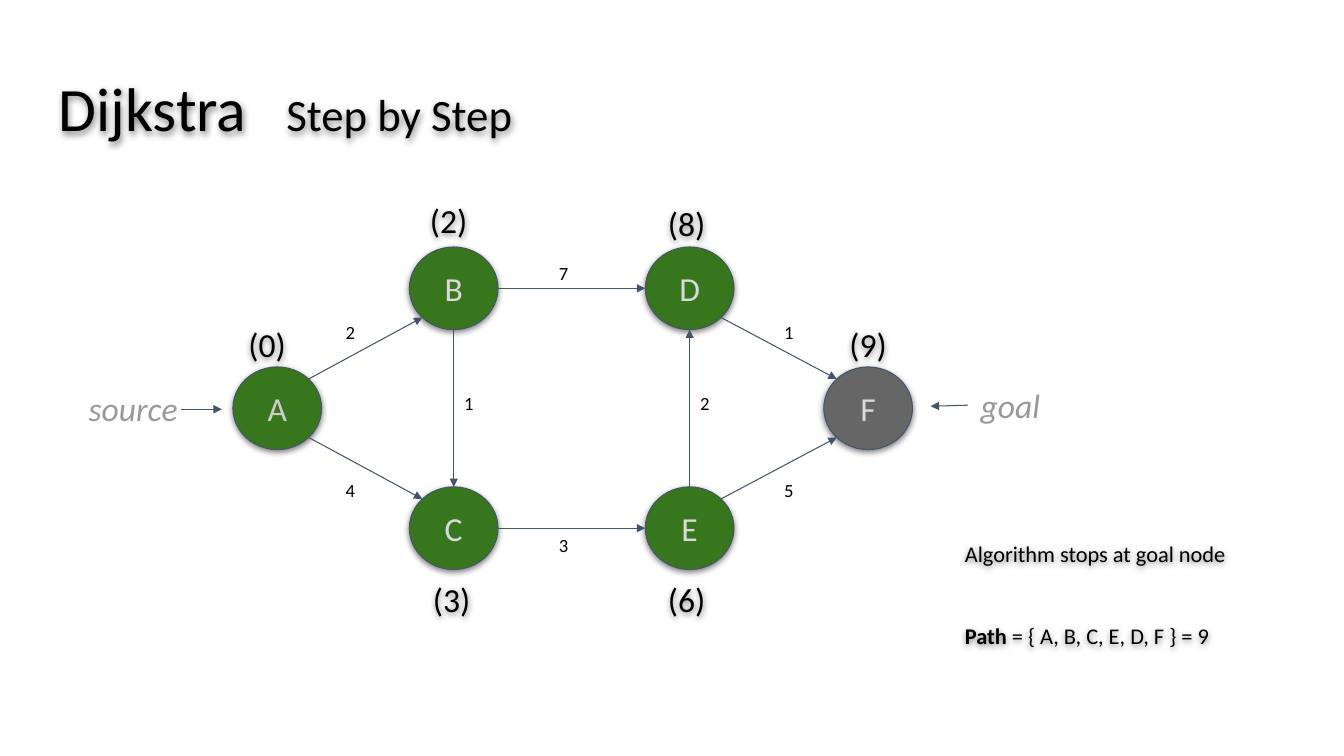
from dataclasses import dataclass

from lxml import etree
from pptx import Presentation
from pptx.dml.color import RGBColor
from pptx.enum.shapes import MSO_CONNECTOR, MSO_SHAPE
from pptx.enum.text import MSO_ANCHOR, PP_ALIGN
from pptx.oxml.ns import qn
from pptx.util import Inches, Pt

STRAIGHT = MSO_CONNECTOR.STRAIGHT
NODE_SHAPE = MSO_SHAPE.FLOWCHART_CONNECTOR
TOP, MIDDLE = MSO_ANCHOR.TOP, MSO_ANCHOR.MIDDLE
LEFT, CENTER = PP_ALIGN.LEFT, PP_ALIGN.CENTER


@dataclass(frozen=True)
class Theme:
    font: str = "Calibri"
    ink: str = "000000"
    muted: str = "999999"
    line: str = "44546A"
    visited: str = "38761D"
    goal: str = "666666"
    letter: str = "D9D9D9"
    start_letter: str = "CCCCCC"
    title: float = 44
    subtitle: float = 32
    label: float = 24
    note: float = 16
    weight: float = 13.3
    stroke: float = 0.75


T = Theme()
SLIDE_W, SLIDE_H = 13.33, 7.5
COLS = (2.75, 4.5, 6.84, 8.61)
ROWS = (2.86, 4.05, 5.24)
NODE_W, NODE_H = 0.88, 0.82
DIAGONAL = 0.5 ** 0.5

NODES = {
    "A": (0, 1, T.visited, T.start_letter, "(0)", -0.1, -0.64),
    "B": (1, 0, T.visited, T.letter, "(2)", -0.05, -0.68),
    "C": (1, 2, T.visited, T.letter, "(3)", -0.02, 0.7),
    "D": (2, 0, T.visited, T.letter, "(8)", -0.03, -0.65),
    "E": (2, 2, T.visited, T.letter, "(6)", -0.03, 0.7),
    "F": (3, 1, T.goal, T.letter, "(9)", 0, -0.64),
}
EDGES = (
    ("A", "B", "2", -0.15, -0.16),
    ("A", "C", "4", -0.15, 0.22),
    ("B", "D", "7", -0.08, -0.15),
    ("B", "C", "1", 0.15, -0.05),
    ("C", "E", "3", -0.08, 0.17),
    ("D", "F", "1", 0.1, -0.16),
    ("E", "F", "5", 0.1, 0.22),
    ("E", "D", "2", 0.15, -0.05),
)


def rgb(color):
    return RGBColor.from_string(color)


def center(name):
    return COLS[NODES[name][0]], ROWS[NODES[name][1]]


def add_shadow(sp):
    sp.shadow.inherit = False
    effects = sp.element.spPr.find(qn("a:effectLst"))
    outer = etree.SubElement(effects, qn("a:outerShdw"), blurRad=str(Pt(4.5)),
                             dist=str(Pt(1.5)), dir="5400000", algn="bl", rotWithShape="0")
    color = etree.SubElement(outer, qn("a:srgbClr"), val=T.ink)
    etree.SubElement(color, qn("a:alpha"), val="50000")


def write(p, text, size=T.label, color=T.ink, align=CENTER, bold=False, italic=False):
    p.alignment = align
    r = p.add_run()
    r.text = text
    r.font.name, r.font.size = T.font, Pt(size)
    r.font.bold, r.font.italic = bold, italic
    r.font.color.rgb = rgb(color)


def set_frame(sp, anchor):
    tf = sp.text_frame
    tf.word_wrap = True
    tf.vertical_anchor = anchor
    tf.margin_left = tf.margin_right = tf.margin_top = tf.margin_bottom = 0
    return tf


def add_box(s, x, y, w, h, anchor=TOP, shadow=False):
    sp = s.shapes.add_textbox(Inches(x), Inches(y), Inches(w), Inches(h))
    if shadow:
        add_shadow(sp)
    return set_frame(sp, anchor)


def add_label(s, text, x, y, w=0.72, h=0.49, shadow=False, **style):
    tf = add_box(s, x - w / 2, y - h / 2, w, h, MIDDLE, shadow)
    write(tf.paragraphs[0], text, **style)


def add_node(s, name):
    x, y = center(name)
    fill, letter = NODES[name][2:4]
    sp = s.shapes.add_shape(NODE_SHAPE, Inches(x - NODE_W / 2), Inches(y - NODE_H / 2),
                            Inches(NODE_W), Inches(NODE_H))
    sp.fill.solid()
    sp.fill.fore_color.rgb = rgb(fill)
    sp.line.color.rgb = rgb(T.line)
    sp.line.width = Pt(T.stroke)
    add_shadow(sp)
    write(set_frame(sp, MIDDLE).paragraphs[0], name, color=letter)


def add_arrow(s, x1, y1, x2, y2):
    c = s.shapes.add_connector(STRAIGHT, Inches(x1), Inches(y1), Inches(x2), Inches(y2))
    c.line.color.rgb = rgb(T.line)
    c.line.width = Pt(T.stroke)
    sp_pr = c.element.spPr
    etree.SubElement(sp_pr.find(qn("a:ln")), qn("a:tailEnd"), type="triangle")
    etree.SubElement(sp_pr, qn("a:effectLst"))


def sign(value):
    return (value > 0) - (value < 0)


def add_edge(s, start, end):
    (x1, y1), (x2, y2) = center(start), center(end)
    dx, dy = sign(x2 - x1), sign(y2 - y1)
    reach = DIAGONAL if dx and dy else 1
    dx, dy = dx * reach * NODE_W / 2, dy * reach * NODE_H / 2
    add_arrow(s, x1 + dx, y1 + dy, x2 - dx, y2 - dy)


def add_title(s):
    p = add_box(s, 0.58, 0.78, 12.16, 0.7, shadow=True).paragraphs[0]
    p.line_spacing = 0.9
    write(p, "Dijkstra\t", size=T.title, align=LEFT)
    write(p, "Step by Step", size=T.subtitle, align=LEFT)
    tabs = etree.SubElement(p._p.get_or_add_pPr(), qn("a:tabLst"))
    etree.SubElement(tabs, qn("a:tab"), pos=str(Inches(2.26)), algn="l")


def add_note(s):
    tf = add_box(s, 9.57, 5.36, 3.28, 1.2, shadow=True)
    write(tf.paragraphs[0], "Algorithm stops at goal node", size=T.note, align=LEFT)
    p = tf.add_paragraph()
    p.space_before = Pt(39)
    write(p, "Path", size=T.note, align=LEFT, bold=True)
    write(p, " = { A, B, C, E, D, F } = 9", size=T.note, align=LEFT)


def main():
    prs = Presentation()
    prs.slide_width, prs.slide_height = Inches(SLIDE_W), Inches(SLIDE_H)
    s = prs.slides.add_slide(prs.slide_layouts[6])
    add_title(s)
    for name in NODES:
        add_node(s, name)
    for start, end, weight, dx, dy in EDGES:
        add_edge(s, start, end)
        (x1, y1), (x2, y2) = center(start), center(end)
        add_label(s, weight, (x1 + x2) / 2 + dx, (y1 + y2) / 2 + dy,
                  w=0.3, h=0.28, size=T.weight)
    for name, (*_, score, dx, dy) in NODES.items():
        x, y = center(name)
        add_label(s, score, x + dx, y + dy, shadow=True)
    add_label(s, "source", 1.32, ROWS[1], w=1.19, color=T.muted, italic=True)
    add_arrow(s, 1.8, 4.06, 2.2, 4.06)
    add_label(s, "goal", 10.09, 4.02, w=0.73, color=T.muted, italic=True, align=LEFT)
    add_arrow(s, 9.6, 4.02, 9.23, 4.03)
    add_note(s)
    prs.save("out.pptx")


if __name__ == "__main__":
    main()
